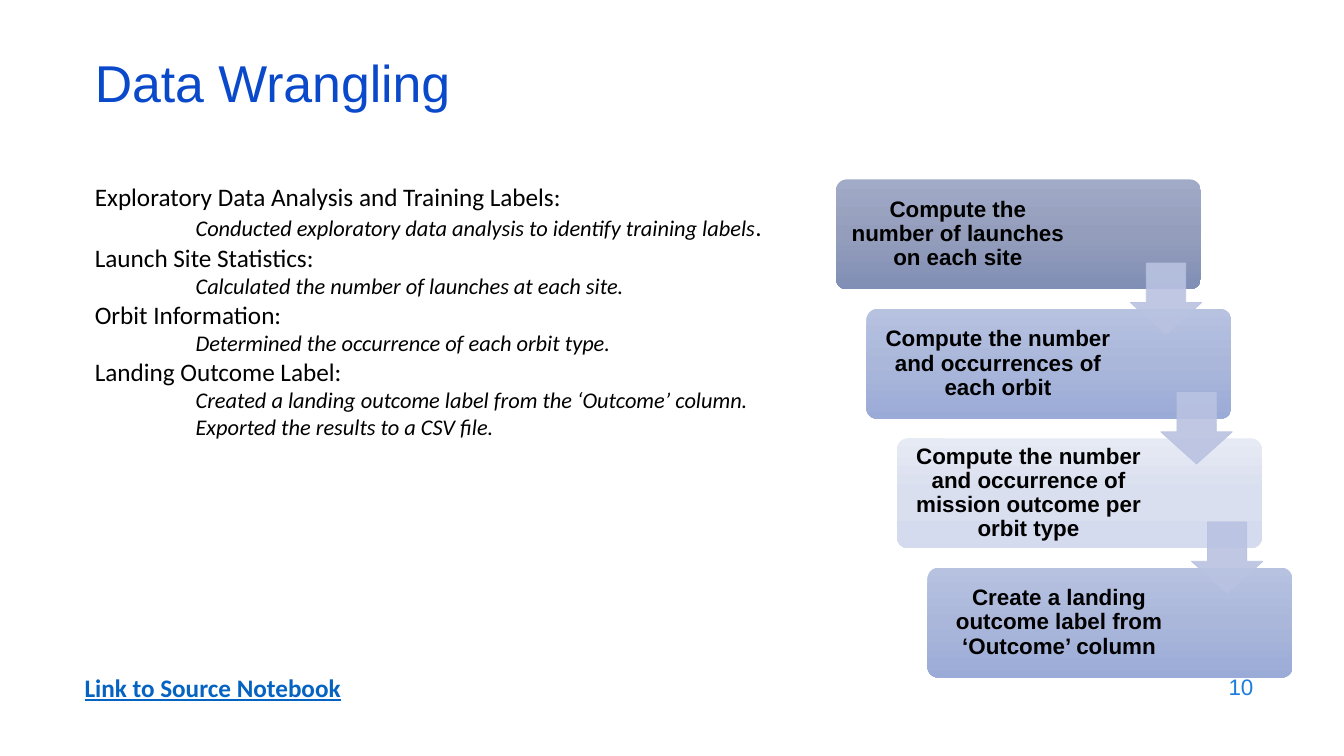
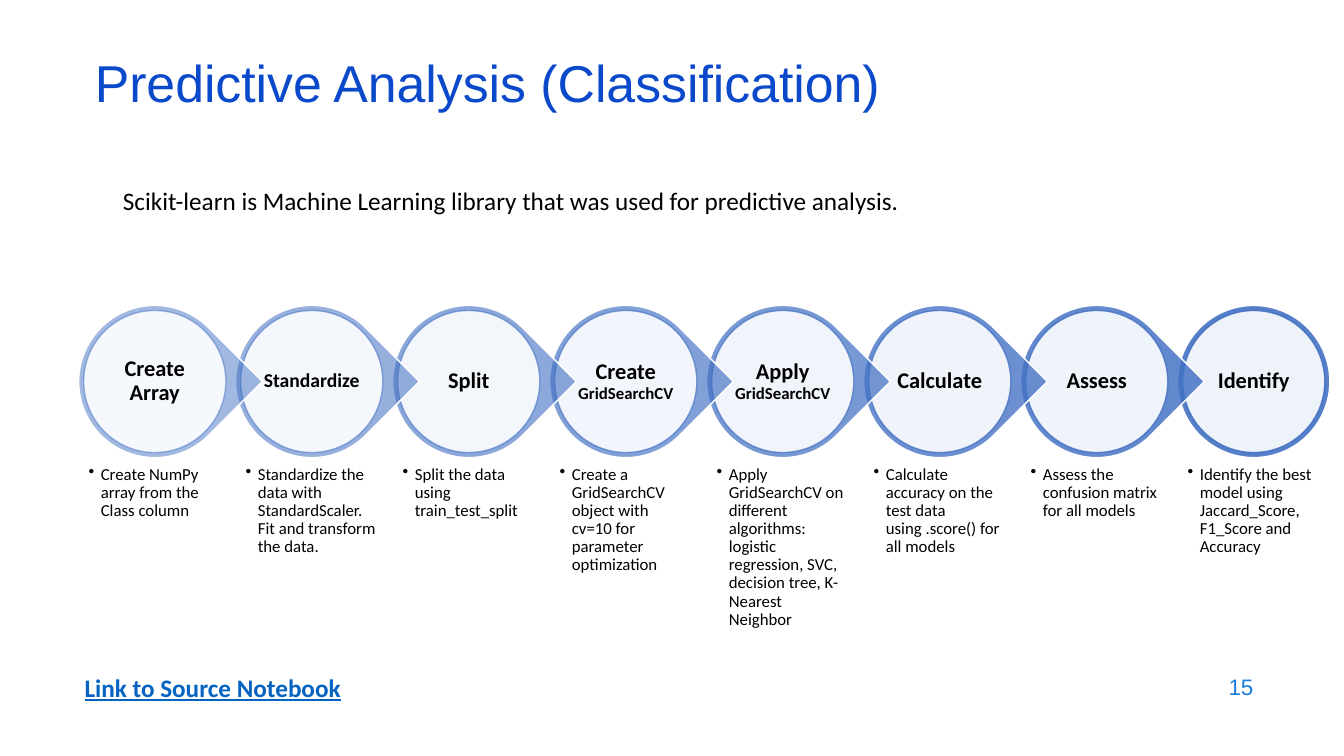
from copy import deepcopy
from lxml.etree import SubElement
from pptx import Presentation
from pptx.dml.color import RGBColor
from pptx.enum.shapes import MSO_SHAPE
from pptx.enum.text import MSO_ANCHOR, MSO_AUTO_SIZE, PP_ALIGN
from pptx.oxml.ns import qn
from pptx.util import Pt

PX = 9144
COLORS = {
    "title": "0B49CB", "number": "1C7DDB", "link": "0563C1", "text": "000000",
    "white": "FFFFFF", "blue": "4472C4", "arrow": "B9C2E1",
}
LINK = "Link to Source Notebook"
MID = ("B7C2E1", "AAB7DA", "9BABD8")

TOPICS = [
    ("Exploratory Data Analysis and Training Labels:",
     ["Conducted exploratory data analysis to identify training labels."]),
    ("Launch Site Statistics:", ["Calculated the number of launches at each site."]),
    ("Orbit Information:", ["Determined the occurrence of each orbit type."]),
    ("Landing Outcome Label:",
     ["Created a landing outcome label from the ‘Outcome’ column.",
      "Exported the results to a CSV file."]),
]
STEPS = [
    ("Compute the number of launches on each site", ("A1AAC7", "949EBC", "818EB5"), 127),
    ("Compute the number and occurrences of each orbit", MID, 108),
    ("Compute the number and occurrence of mission outcome per orbit type",
     ("E6EAF4", "DADFEF", "D5DBEE"), 108),
    ("Create a landing outcome label from ‘Outcome’ column", MID, 108),
]
INTRO = "Scikit-learn is Machine Learning library that was used for predictive analysis."
STAGES = [
    ([("Create Array", 16)], "Create NumPy array from the Class column"),
    ([("Standardize", 14)],
     "Standardize the data with StandardScaler. Fit and transform the data."),
    ([("Split", 16)], "Split the data using train_test_split"),
    ([("Create", 16), (" ", 14), ("GridSearchCV", 12)],
     "Create a GridSearchCV object with cv=10 for parameter optimization"),
    ([("Apply", 16), (" ", 14), ("GridSearchCV", 12)],
     "Apply GridSearchCV on different algorithms: logistic regression, SVC, "
     "decision tree, K-Nearest Neighbor"),
    ([("Calculate", 16)],
     "Calculate accuracy on the test data using .score() for all models"),
    ([("Assess", 16)], "Assess the confusion matrix for all models"),
    ([("Identify", 16)],
     "Identify the best model using Jaccard_Score, F1_Score and Accuracy"),
]


def px(*sizes):
    return [round(size * PX) for size in sizes]


def rgb(name):
    return RGBColor.from_string(COLORS.get(name, name))


def style(run, size, color="text", face="Calibri", **flags):
    font = run.font
    font.size, font.name = Pt(size), face
    font.color.rgb = rgb(color)
    for flag, value in flags.items():
        setattr(font, flag, value)


def indent(para, left, hang=0, bullet=None):
    props = para._p.get_or_add_pPr()
    props.set("marL", str(left * PX))
    props.set("indent", str(-hang * PX))
    if bullet:
        SubElement(props, qn("a:buChar")).set("char", bullet)
    else:
        SubElement(props, qn("a:buNone"))


def inset(frame, left, top, right, bottom):
    frame.margin_left, frame.margin_top, frame.margin_right, frame.margin_bottom = px(
        left, top, right, bottom)


def place(shape, left, top, width, height):
    shape.left, shape.top, shape.width, shape.height = px(left, top, width, height)


def label(slide, text, at, size, wrap=True, **looks):
    frame = slide.shapes.add_textbox(*px(*at)).text_frame
    frame.word_wrap = wrap
    frame.text = text
    style(frame.paragraphs[0].runs[0], size, **looks)
    return frame


def draw(slide, kind, at):
    shape = slide.shapes.add_shape(kind, *px(*at))
    shape.shadow.inherit = False
    return shape


def paint(shape, fill, clear, line, faint, width):
    shape.fill.solid()
    shape.fill.fore_color.rgb = rgb(fill)
    shape.line.color.rgb = rgb(line)
    shape.line.width = Pt(width)
    tints = shape._element.spPr.iter(qn("a:srgbClr"))
    for tint, alpha in zip(tints, (clear, faint)):
        SubElement(tint, qn("a:alpha")).set("val", str(round(alpha * 1000)))


def shade(shape, tones):
    fill = shape.fill
    fill.gradient()
    fill.gradient_angle = 270
    stops = next(shape._element.iter(qn("a:gsLst")))
    stops.insert(1, deepcopy(stops[0]))
    for stop, tone, spot in zip(fill.gradient_stops, tones, (0, 0.5, 1)):
        stop.color.rgb = rgb(tone)
        stop.position = spot
    shape.line.fill.background()


def center(shape, parts, face):
    frame = shape.text_frame
    frame.word_wrap = True
    frame.vertical_anchor = MSO_ANCHOR.MIDDLE
    para = frame.paragraphs[0]
    para.alignment = PP_ALIGN.CENTER
    para.line_spacing = 0.9
    for text, size in parts:
        run = para.add_run()
        run.text = text
        style(run, size, face=face, bold=True)


def start(deck, layout, title, number):
    slide = deck.slides.add_slide(deck.slide_layouts[layout])
    head = slide.shapes.title
    place(head, 84, 59, 1150, 60)
    frame = head.text_frame
    frame.text = title
    frame.auto_size = MSO_AUTO_SIZE.NONE
    frame.vertical_anchor = MSO_ANCHOR.MIDDLE
    para = frame.paragraphs[0]
    para.alignment = PP_ALIGN.LEFT
    para.line_spacing = 0.7
    style(para.runs[0], 37, "title", "Arial")
    page = label(slide, number, (953, 659, 300, 44), 16, color="number", face="Arial")
    page.vertical_anchor = MSO_ANCHOR.MIDDLE
    page.paragraphs[0].alignment = PP_ALIGN.RIGHT
    label(slide, LINK, (74, 662, 280, 40), 18, False,
          color="link", bold=True, underline=True)
    return slide


def wrangle(deck):
    slide = start(deck, 1, "Data Wrangling", "10")
    body = slide.placeholders[1]
    place(body, 84, 175, 709, 269)
    frame = body.text_frame
    frame.auto_size = MSO_AUTO_SIZE.NONE
    lines = [row for head, notes in TOPICS
             for row in [(head, False)] + [(note, True) for note in notes]]
    frame.text = "\n".join(text for text, _ in lines)
    for para, (_, note) in zip(frame.paragraphs, lines):
        indent(para, 100 if note else 0)
        para.space_before = Pt(0)
        style(para.runs[0], 16 if note else 18, italic=note)
    first = frame.paragraphs[1]
    first.runs[0].text = first.runs[0].text[:-1]
    stop = first.add_run()
    stop.text = "."
    style(stop, 18)

    spots = [(829 + 30.3 * i, 178 + 128.4 * i) for i in range(len(STEPS))]
    for (left, top), (text, tones, right) in zip(spots, STEPS):
        box = draw(slide, MSO_SHAPE.ROUNDED_RECTANGLE, (left, top, 362, 109))
        box.adjustments[0] = 0.1
        shade(box, tones)
        inset(box.text_frame, 7, 7, right, 7)
        center(box, [(text, 16)], "Arial")
    for left, top in spots[:-1]:
        arrow = draw(slide, MSO_SHAPE.DOWN_ARROW, (left + 292, top + 83, 71, 71))
        arrow.adjustments[0], arrow.adjustments[1] = 0.55, 0.45
        paint(arrow, "arrow", 90, "arrow", 90, 0.5)


def predict(deck):
    slide = start(deck, 5, "Predictive Analysis (Classification)", "15")
    label(slide, INTRO, (112, 179, 799, 40), 18, False)
    last = len(STAGES) - 1
    for i, (parts, note) in reversed(list(enumerate(STAGES))):
        left = 78 + 1090 * i / last
        alpha = 50 + 40 * i / last
        kind = MSO_SHAPE.OVAL if i == last else MSO_SHAPE.TEAR
        drop = draw(slide, kind, (left, 303, 151, 151))
        if i < last:
            drop.rotation = 45
            drop.adjustments[0] = 1
        paint(drop, "blue", alpha, "white", 100, 1)
        ring = draw(slide, MSO_SHAPE.OVAL, (left + 5, 308, 141, 141))
        paint(ring, "white", 90, "blue", alpha, 1)
        inset(ring.text_frame, 1, 1, 1, 1)
        center(ring, parts, "Calibri")
        frame = label(slide, note, (left + 5, 457, 141, 83), 12)
        inset(frame, 5, 5, 5, 5)
        indent(frame.paragraphs[0], 12, 12, "•")
        frame.paragraphs[0].line_spacing = 0.9


def main():
    deck = Presentation()
    deck.slide_width, deck.slide_height = px(1333, 750)
    wrangle(deck)
    predict(deck)
    deck.save("out.pptx")


if __name__ == "__main__":
    main()
